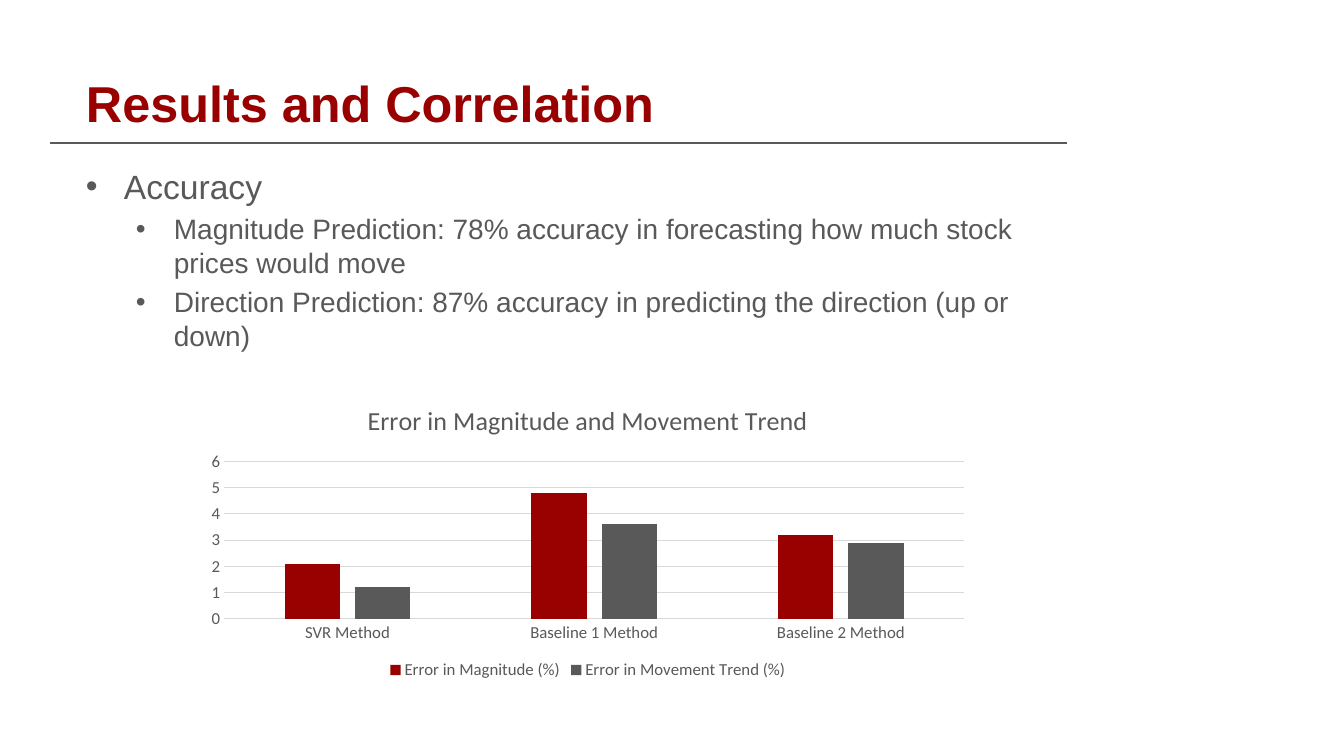
from lxml import etree
from pptx import Presentation
from pptx.chart.data import CategoryChartData
from pptx.dml.color import RGBColor
from pptx.enum.chart import XL_CHART_TYPE, XL_LEGEND_POSITION, XL_TICK_MARK
from pptx.enum.shapes import MSO_CONNECTOR
from pptx.enum.text import MSO_ANCHOR
from pptx.oxml.ns import qn
from pptx.util import Pt

COLUMNS = XL_CHART_TYPE.COLUMN_CLUSTERED
LEGEND_BOTTOM = XL_LEGEND_POSITION.BOTTOM
NO_TICKS = XL_TICK_MARK.NONE
STRAIGHT = MSO_CONNECTOR.STRAIGHT
MIDDLE = MSO_ANCHOR.MIDDLE

RED = RGBColor(0x99, 0x00, 0x00)
GRAY = RGBColor(0x59, 0x59, 0x59)
LIGHT_GRAY = RGBColor(0xD9, 0xD9, 0xD9)

EMU_PER_PX = 914400 / 100.8


def px(*lengths):
    return [round(length * EMU_PER_PX) for length in lengths]


def style_font(font, name, size, color, bold=False):
    font.name = name
    font.size = Pt(size)
    font.color.rgb = color
    font.bold = bold


presentation = Presentation()
presentation.slide_width, presentation.slide_height = px(1344, 756)
slide = presentation.slides.add_slide(presentation.slide_layouts[6])

# Title
title_frame = slide.shapes.add_textbox(*px(76, 47, 1041, 111)).text_frame
title_frame.word_wrap = True
title_frame.vertical_anchor = MIDDLE
title_frame.text = "Results and Correlation"
style_font(title_frame.paragraphs[0].font, "Arial", 36, RED, bold=True)

# Bullets: text, level, size, left margin
bullets = [
    ("Accuracy", 0, 24, 38),
    ("Magnitude Prediction: 78% accuracy in forecasting how much stock prices would move", 1, 20, 88),
    ("Direction Prediction: 87% accuracy in predicting the direction (up or down)", 1, 20, 88),
]
body_frame = slide.shapes.add_textbox(*px(76, 161, 1025, 546)).text_frame
body_frame.word_wrap = True
for index, (text, level, size, margin) in enumerate(bullets):
    paragraph = body_frame.add_paragraph() if index else body_frame.paragraphs[0]
    paragraph.text = text
    paragraph.level = level
    paragraph.space_before = Pt(size * 0.2)
    style_font(paragraph.font, "Arial", size, GRAY)
    properties = paragraph._p.get_or_add_pPr()
    left, hanging = px(margin, -38)
    properties.set("marL", str(left))
    properties.set("indent", str(hanging))
    bullet_font = etree.Element(qn("a:buFont"), typeface="Arial")
    bullet = etree.Element(qn("a:buChar"), char="•")
    default_run = properties.find(qn("a:defRPr"))
    default_run.addprevious(bullet_font)
    default_run.addprevious(bullet)

# Rule under the title
rule = slide.shapes.add_connector(STRAIGHT, *px(50, 143, 1067, 143))
rule.line.color.rgb = GRAY
rule.line.width = Pt(0.75)
etree.SubElement(rule._element.spPr, qn("a:effectLst"))

# Error chart
chart_data = CategoryChartData()
chart_data.categories = ["SVR Method", "Baseline 1 Method", "Baseline 2 Method"]
chart_data.add_series("Error in Magnitude (%)", [2.1, 4.8, 3.2])
chart_data.add_series("Error in Movement Trend (%)", [1.2, 3.6, 2.9])
chart = slide.shapes.add_chart(COLUMNS, *px(196, 386, 784, 298), chart_data).chart
style_font(chart.font, "Calibri", 12, GRAY)

chart.has_title = True
chart_title = chart.chart_title.text_frame
chart_title.text = "Error in Magnitude and Movement Trend"
style_font(chart_title.paragraphs[0].font, "Calibri", 18.6, GRAY)
chart.chart_title.include_in_layout = False

chart.has_legend = True
chart.legend.position = LEGEND_BOTTOM
chart.legend.include_in_layout = False

plot = chart.plots[0]
plot.gap_width = 219
plot.overlap = -27
plot.vary_by_categories = False
for series, color in zip(plot.series, (RED, GRAY)):
    series.format.fill.solid()
    series.format.fill.fore_color.rgb = color

# Axes
for axis in (chart.category_axis, chart.value_axis):
    axis.major_tick_mark = NO_TICKS
    axis.minor_tick_mark = NO_TICKS
chart.value_axis.minimum_scale = 0
chart.value_axis.maximum_scale = 6
chart.value_axis.major_unit = 1
chart.value_axis.format.line.fill.background()
for line in (chart.category_axis.format.line, chart.value_axis.major_gridlines.format.line):
    line.color.rgb = LIGHT_GRAY
    line.width = Pt(0.75)

presentation.save("out.pptx")
